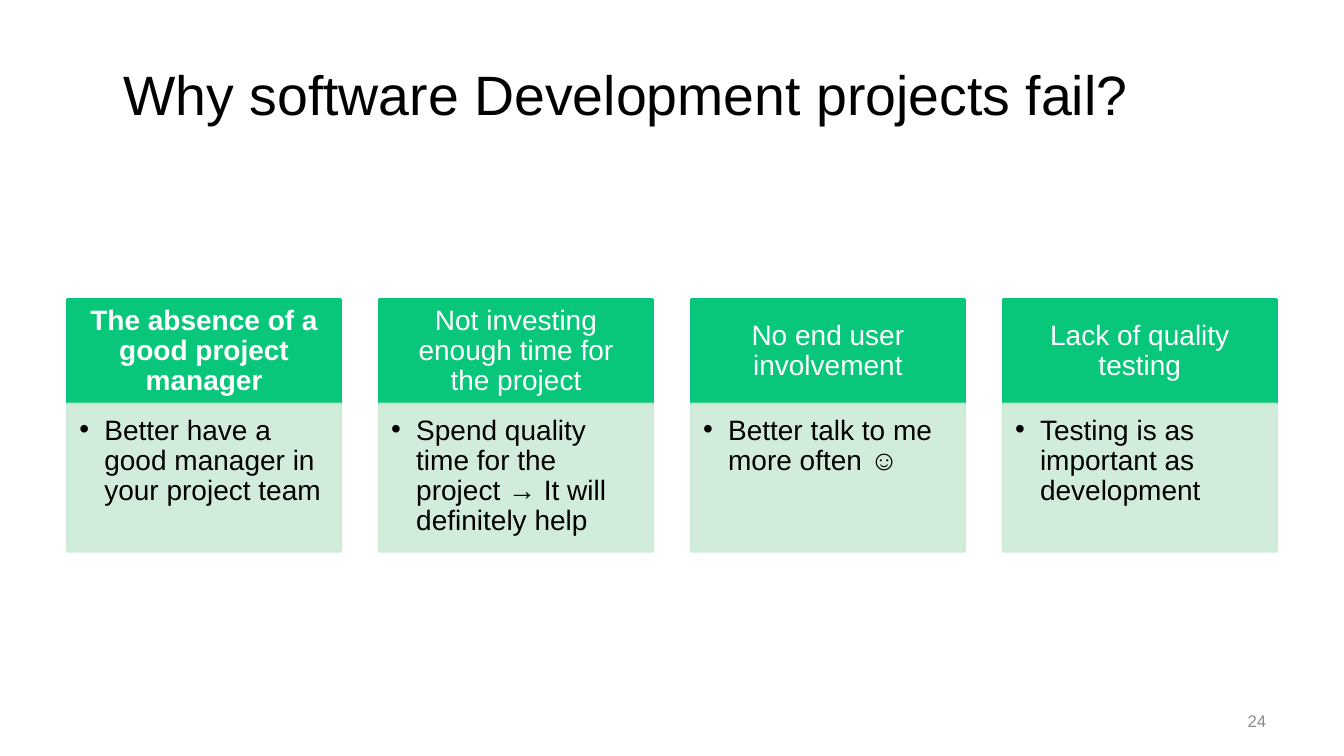
import pptx
import pptx.util
import pptx.dml.color
import pptx.enum.shapes
import pptx.enum.text
import pptx.oxml.ns
import lxml.etree

Cm = pptx.util.Cm
Align = pptx.enum.text.PP_ALIGN
Anchor = pptx.enum.text.MSO_ANCHOR
qn = pptx.oxml.ns.qn

CARDS = [
    ("The absence of a good project manager",
     "Better have a good manager in your project team"),
    ("Not investing enough time for the project",
     "Spend quality time for the project → It will definitely help"),
    ("No end user involvement", "Better talk to me more often ☺"),
    ("Lack of quality testing", "Testing is as important as development"),
]
LEFT, PITCH, WIDTH = 1.7, 7.86, 6.89
TOP, HEAD, BODY = 7.54, 2.64, 3.71


def color(code):
    return pptx.dml.color.RGBColor.from_string(code)


def write(item, text, size, code, align, anchor, pads=(0.25, 0.13, 0.25, 0.13), bold=False):
    frame = item.text_frame
    frame.word_wrap = True
    frame.vertical_anchor = anchor
    frame.margin_left, frame.margin_top, frame.margin_right, frame.margin_bottom = map(Cm, pads)
    frame.text = text
    para = frame.paragraphs[0]
    para.alignment = align
    font = para.runs[0].font
    font.name = "Arial"
    font.size = pptx.util.Pt(size)
    font.bold = bold
    font.color.rgb = color(code)
    return para


def add_label(slide, box, text, size, code, align):
    item = slide.shapes.add_textbox(*map(Cm, box))
    write(item, text, size, code, align, Anchor.MIDDLE)


def add_panel(slide, box, code):
    panel = slide.shapes.add_shape(pptx.enum.shapes.MSO_SHAPE.RECTANGLE, *map(Cm, box))
    panel.shadow.inherit = False
    panel.fill.solid()
    panel.fill.fore_color.rgb = color(code)
    panel.line.color.rgb = color(code)
    panel.line.width = pptx.util.Pt(2)
    return panel


def fade(panel, share):
    for tint in panel.element.spPr.iter(qn("a:srgbClr")):
        lxml.etree.SubElement(tint, qn("a:alpha"), val=str(share * 1000))


def add_bullet(para):
    props = para._p.get_or_add_pPr()
    props.set("marL", str(Cm(0.63)))
    props.set("indent", str(-Cm(0.63)))
    lxml.etree.SubElement(props, qn("a:buFont"), typeface="Arial")
    lxml.etree.SubElement(props, qn("a:buChar"), char="•")


def add_card(slide, left, cause, advice, bold):
    head = add_panel(slide, (left, TOP, WIDTH, HEAD), "09C77A")
    para = write(head, cause, 20, "FFFFFF", Align.CENTER, Anchor.MIDDLE,
                 (0.4, 0.23, 0.4, 0.23), bold)
    para.line_spacing = 0.9
    body = add_panel(slide, (left, TOP + HEAD, WIDTH, BODY), "CCEBD7")
    fade(body, 90)
    para = write(body, advice, 20, "000000", Align.LEFT, Anchor.TOP, (0.3, 0.3, 0.4, 0.43))
    add_bullet(para)
    para.line_spacing = 0.9


def main():
    deck = pptx.Presentation()
    deck.slide_width, deck.slide_height = Cm(33.87), Cm(19.05)
    slide = deck.slides.add_slide(deck.slide_layouts[6])
    add_label(slide, (LEFT, 0.76, 28.14, 3.18), "Why software Development projects fail?",
              39.6, "000000", Align.CENTER)
    for place, (cause, advice) in enumerate(CARDS):
        add_card(slide, LEFT + place * PITCH, cause, advice, place == 0)
    add_label(slide, (24.26, 17.65, 7.9, 1.02), "24", 12, "8C8C8C", Align.RIGHT)
    deck.save("out.pptx")


if __name__ == "__main__":
    main()
